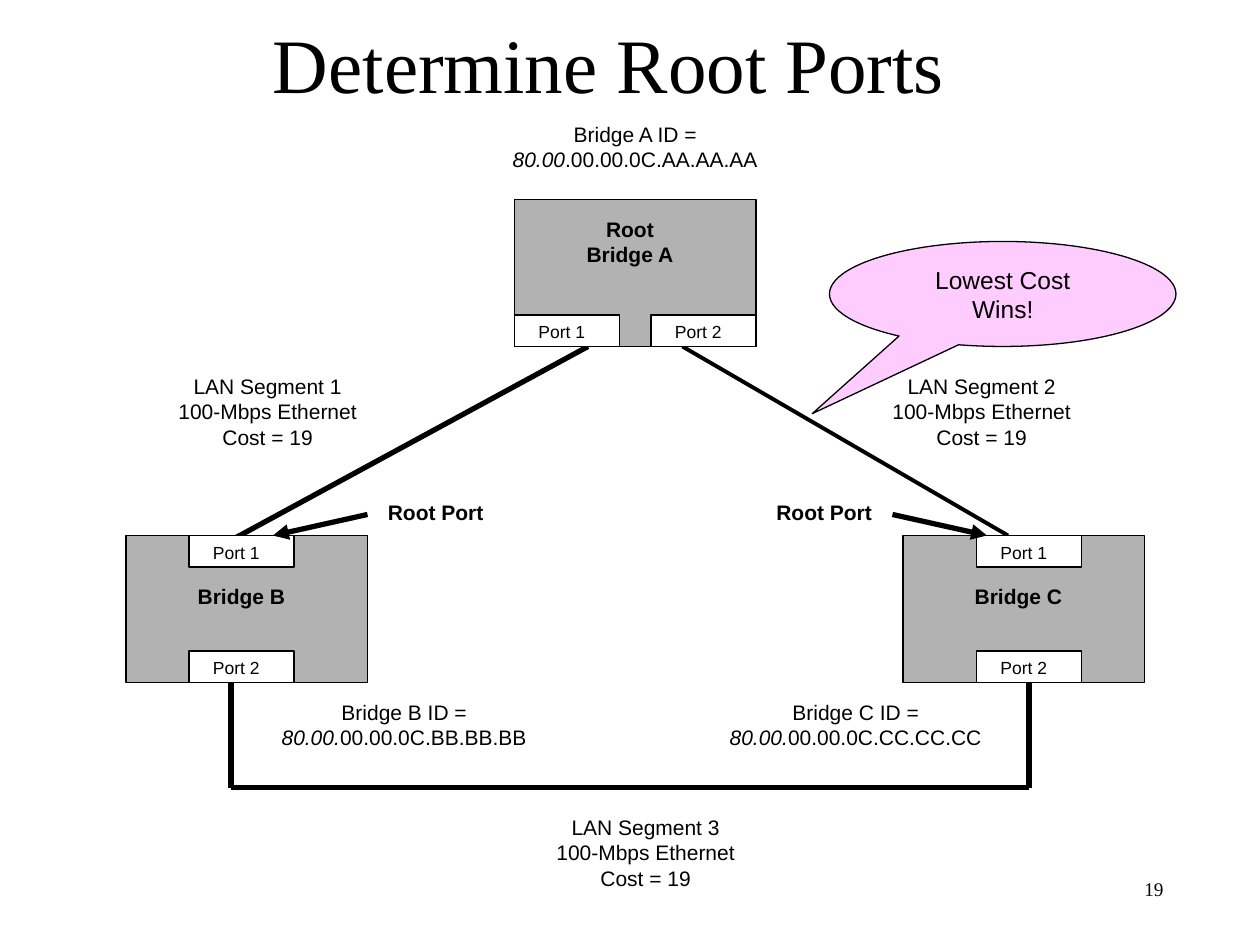
from lxml import etree
from pptx import Presentation
from pptx.dml.color import RGBColor
from pptx.enum.shapes import MSO_CONNECTOR, MSO_SHAPE
from pptx.enum.text import MSO_ANCHOR, PP_ALIGN
from pptx.oxml.ns import qn
from pptx.util import Pt

PX = 9525
RECT, CALLOUT = MSO_SHAPE.RECTANGLE, MSO_SHAPE.OVAL_CALLOUT
STRAIGHT = MSO_CONNECTOR.STRAIGHT
CENTER, RIGHT = PP_ALIGN.CENTER, PP_ALIGN.RIGHT
MIDDLE = MSO_ANCHOR.MIDDLE
COLORS = {"ink": "000000", "bridge": "B2B2B2", "port": "FFFFFF", "callout": "FFCCFF"}
INK = RGBColor.from_string(COLORS["ink"])

prs = Presentation()
prs.slide_width, prs.slide_height = 960 * PX, 720 * PX
s = prs.slides.add_slide(prs.slide_layouts[5])


def write(sp, lines, size, bold=False, font="Arial", align=CENTER):
    """Fill a shape with paragraphs; each line is a list of (text, italic) runs or a string."""
    tf = sp.text_frame
    tf.word_wrap = True
    for i, line in enumerate(lines):
        p = tf.paragraphs[0] if i == 0 else tf.add_paragraph()
        p.alignment = align
        p.font.size, p.font.name, p.font.bold = Pt(size), font, bold
        p.font.color.rgb = INK
        for text, italic in [(line, False)] if isinstance(line, str) else line:
            r = p.add_run()
            r.text = text
            if italic:
                r.font.italic = True
    return tf


def add_box(kind, x, y, w, h, fill):
    sp = s.shapes.add_shape(kind, x * PX, y * PX, w * PX, h * PX)
    sp.shadow.inherit = False
    sp.fill.solid()
    sp.fill.fore_color.rgb = RGBColor.from_string(COLORS[fill])
    sp.line.color.rgb = INK
    sp.line.width = Pt(0.75)
    return sp


title = s.shapes.title
title.left, title.top, title.width, title.height = 56 * PX, 24 * PX, 816 * PX, 48 * PX
tf = write(title, ["Determine Root Ports"], 44, font="Times New Roman")
tf.vertical_anchor = MIDDLE

# Lines: start, end, width, arrowhead; the segments lie behind the bridges
segments = [
    (448, 264, 168, 416, 3, False),
    (520, 264, 768, 408, 2.25, False),
    (784, 600, 176, 600, 3, False),
    (176, 520, 176, 600, 3, False),
    (784, 520, 784, 600, 3, False),
]
arrows = [
    (280, 392, 208, 408, 3, True),
    (680, 392, 752, 408, 3, True),
]
connectors = []
for x1, y1, x2, y2, width, arrow in segments + arrows:
    c = s.shapes.add_connector(STRAIGHT, x1 * PX, y1 * PX, x2 * PX, y2 * PX)
    c.line.color.rgb = INK
    c.line.width = Pt(width)
    if arrow:
        etree.SubElement(c.line._get_or_add_ln(), qn("a:tailEnd"), type="triangle")
    etree.SubElement(c._element.spPr, qn("a:effectLst"))
    connectors.append(c)

# Bridges: left, top, name top, name, ports as (name, left, top)
bridges = [
    (96, 408, 440, ["Bridge B"], [("Port 1", 144, 408), ("Port 2", 144, 496)]),
    (688, 408, 440, ["Bridge C"], [("Port 1", 744, 408), ("Port 2", 744, 496)]),
    (392, 152, 160, ["Root", "Bridge A"], [("Port 1", 392, 240), ("Port 2", 496, 240)]),
]
ports = {}
labels = []
for x, y, name_y, name, bridge_ports in bridges:
    add_box(RECT, x, y, 184, 112, "bridge")
    labels.append((x - 8, name_y, 192, 24 * len(name), name, 12, True))
    for port, px, py in bridge_ports:
        ports[name[-1], port] = add_box(RECT, px, py, 80, 24, "port")
        labels.append((px - 8, py, 88, 26, [port], 10, False))
connectors[4].begin_connect(ports["Bridge C", "Port 2"], 2)

# The arrows lie in front of the bridges
for arrow in connectors[len(segments):]:
    s.shapes._spTree.append(arrow._element)

for x, y, letter, prefix, rest in [
    (344, 88, "A", "80.00", ".00.00.0C.AA.AA.AA"),
    (168, 528, "B", "80.00.", "00.00.0C.BB.BB.BB"),
    (512, 528, "C", "80.00.", "00.00.0C.CC.CC.CC"),
]:
    runs = [(f"Bridge {letter} ID = ", False), (prefix, True), (rest, False)]
    labels.append((x, y, 280, 67, [runs], 12, False))
for number, x, y in [(1, 64, 280), (2, 608, 280), (3, 352, 616)]:
    lines = [f"LAN Segment {number}", "100-Mbps Ethernet", "Cost = 19"]
    labels.append((x, y, 280, 67, lines, 12, False))
for x in (192, 488):
    labels.append((x, 376, 280, 29, ["Root Port"], 12, True))

for x, y, w, h, lines, size, bold in labels:
    write(s.shapes.add_textbox(x * PX, y * PX, w * PX, h * PX), lines, size, bold)

callout = add_box(CALLOUT, 632, 184, 264, 80, "callout")
callout.adjustments[0], callout.adjustments[1] = -0.55, 1.14
tf = write(callout, ["Lowest Cost", "Wins!"], 14)
tf.vertical_anchor = MIDDLE
tf.word_wrap = False

number = s.shapes.add_textbox(72 * PX, 664 * PX, 824 * PX, 28 * PX)
write(number, ["19"], 11, font="Times New Roman", align=RIGHT)

prs.save("out.pptx")
